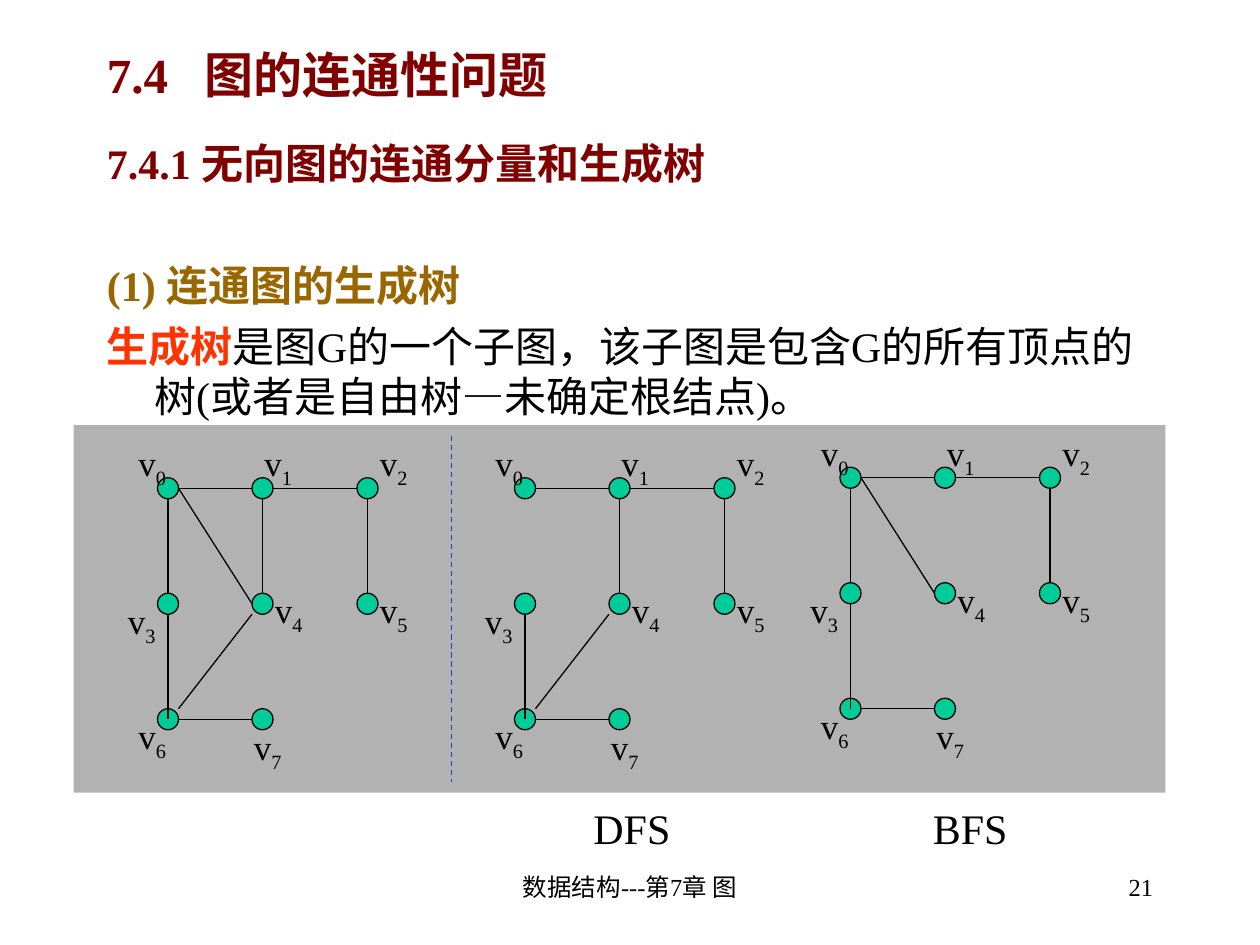
from lxml import etree
from pptx import Presentation
from pptx.dml.color import RGBColor
from pptx.enum import dml, shapes, text
from pptx.oxml.ns import qn
from pptx.util import Pt

FACE = "Times New Roman"
HUES = {"ink": "000000", "head": "800000", "sub": "996600", "key": "FF3300",
        "panel": "B2B2B2", "dot": "00CC99", "split": "3333CC"}

TITLE = "7.4\t图的连通性问题"
BODY = [
    (0, [("7.4.1 无向图的连通分量和生成树", "head", True)]),
    (41, [("(1) 连通图的生成树", "sub", True)]),
    (6, [("生成树", "key", True),
         ("是图G的一个子图，该子图是包含G的所有顶点的树(或者是自由树—未确定根结点)。",
          "ink", False)]),
]
NOTES = [
    ("数据结构---第7章 图", (246, 495, 228, 36), 14, "CENTER", "TOP"),
    ("21", (516, 495, 150, 36), 14, "RIGHT", "TOP"),
    ("DFS", (332, 460, 90, 26), 24, "LEFT", "MIDDLE"),
    ("BFS", (526, 460, 90, 26), 24, "LEFT", "MIDDLE"),
]

COLS, ROWS, RAD = (0, 54, 114), (0, 66, 132), 6
NODES = [
    (0, 0, -24, -30), (1, 0, -6, -30), (2, 0, 0, -30),
    (0, 1, -30, -6), (1, 1, 0, -12), (2, 1, 0, -12),
    (0, 2, -24, -6), (1, 2, -12, 0),
]
SIDES = {"N": (0, -1), "S": (0, 1), "W": (-1, 0), "E": (1, 0),
         "NE": (1, -1), "SW": (-1, 1), "C": (0, 0)}
EDGES = {(0, 1): "E W", (1, 2): "E W", (0, 3): "S N", (1, 4): "S N",
         (2, 5): "S N", (3, 6): "S C", (6, 7): "E W", (6, 4): "NE SW",
         (0, 4): "E W"}
GRAPHS = [
    ((96, 279), []),
    ((300, 279), [(0, 3), (0, 4)]),
    ((486, 273), [(1, 4), (6, 4)]),
]


def rgb(hue):
    return RGBColor.from_string(HUES[hue])


def style(font, size, hue="ink", bold=False):
    font.name, font.size, font.bold = FACE, Pt(size), bold
    font.color.rgb = rgb(hue)


def add_box(area, anchor="TOP", wrap=True):
    frame = slide.shapes.add_textbox(*map(Pt, area)).text_frame
    frame.word_wrap = wrap
    frame.vertical_anchor = text.MSO_ANCHOR[anchor]
    return frame


def add_shape(kind, area, hue, edge=None):
    shape = slide.shapes.add_shape(shapes.MSO_SHAPE[kind], *map(Pt, area))
    shape.shadow.inherit = False
    shape.fill.solid()
    shape.fill.fore_color.rgb = rgb(hue)
    if edge:
        shape.line.color.rgb = rgb(edge)
        shape.line.width = Pt(0.75)
    else:
        shape.line.fill.background()


def add_line(start, end, hue="ink"):
    line = slide.shapes.add_connector(
        shapes.MSO_CONNECTOR.STRAIGHT, *map(Pt, start + end))
    line.line.color.rgb = rgb(hue)
    line.line.width = Pt(0.75)
    etree.SubElement(line._element.spPr, qn("a:effectLst"))
    return line


def add_label(num, left, top):
    para = add_box((left, top, 36, 34), wrap=False).paragraphs[0]
    para.add_run().text = "v"
    sub = para.add_run()
    sub.text = str(num)
    sub._r.get_or_add_rPr().set("baseline", "-25000")
    style(para.font, 20)


def add_graph(origin, cut):
    spots = [(origin[0] + COLS[col], origin[1] + ROWS[row])
             for col, row, _, _ in NODES]
    for num, ((x, y), (_, _, dx, dy)) in enumerate(zip(spots, NODES)):
        add_shape("OVAL", (x - RAD, y - RAD, 2 * RAD, 2 * RAD), "dot", "ink")
        add_label(num, x + dx, y + dy)
    for pair, sides in EDGES.items():
        if pair not in cut:
            ends = [tuple(c + RAD * d for c, d in zip(spots[num], SIDES[side]))
                    for num, side in zip(pair, sides.split())]
            add_line(*ends)


deck = Presentation()
deck.slide_width, deck.slide_height = Pt(720), Pt(540)
slide = deck.slides.add_slide(deck.slide_layouts[6])

para = add_box((54, 15, 612, 54), "MIDDLE").paragraphs[0]
para.text = TITLE
tabs = etree.SubElement(para._p.get_or_add_pPr(), qn("a:tabLst"))
etree.SubElement(tabs, qn("a:tab"), pos=str(Pt(56)), algn="l")
style(para.font, 28, "head", True)

frame = add_box((54, 75, 612, 174))
for i, (gap, runs) in enumerate(BODY):
    para = frame.add_paragraph() if i else frame.paragraphs[0]
    props = para._p.get_or_add_pPr()
    props.set("marL", str(Pt(27)))
    props.set("indent", str(Pt(-27)))
    para.space_before = Pt(gap)
    for words, hue, bold in runs:
        run = para.add_run()
        run.text = words
        style(run.font, 24, hue, bold)

add_shape("RECTANGLE", (42, 243, 624, 210), "panel")
for origin, cut in GRAPHS:
    add_graph(origin, cut)
split = add_line((258, 249), (258, 447), "split")
split.line.dash_style = dml.MSO_LINE.DASH

for words, area, size, align, anchor in NOTES:
    para = add_box(area, anchor).paragraphs[0]
    para.text = words
    para.alignment = text.PP_ALIGN[align]
    style(para.font, size)

deck.save("out.pptx")
